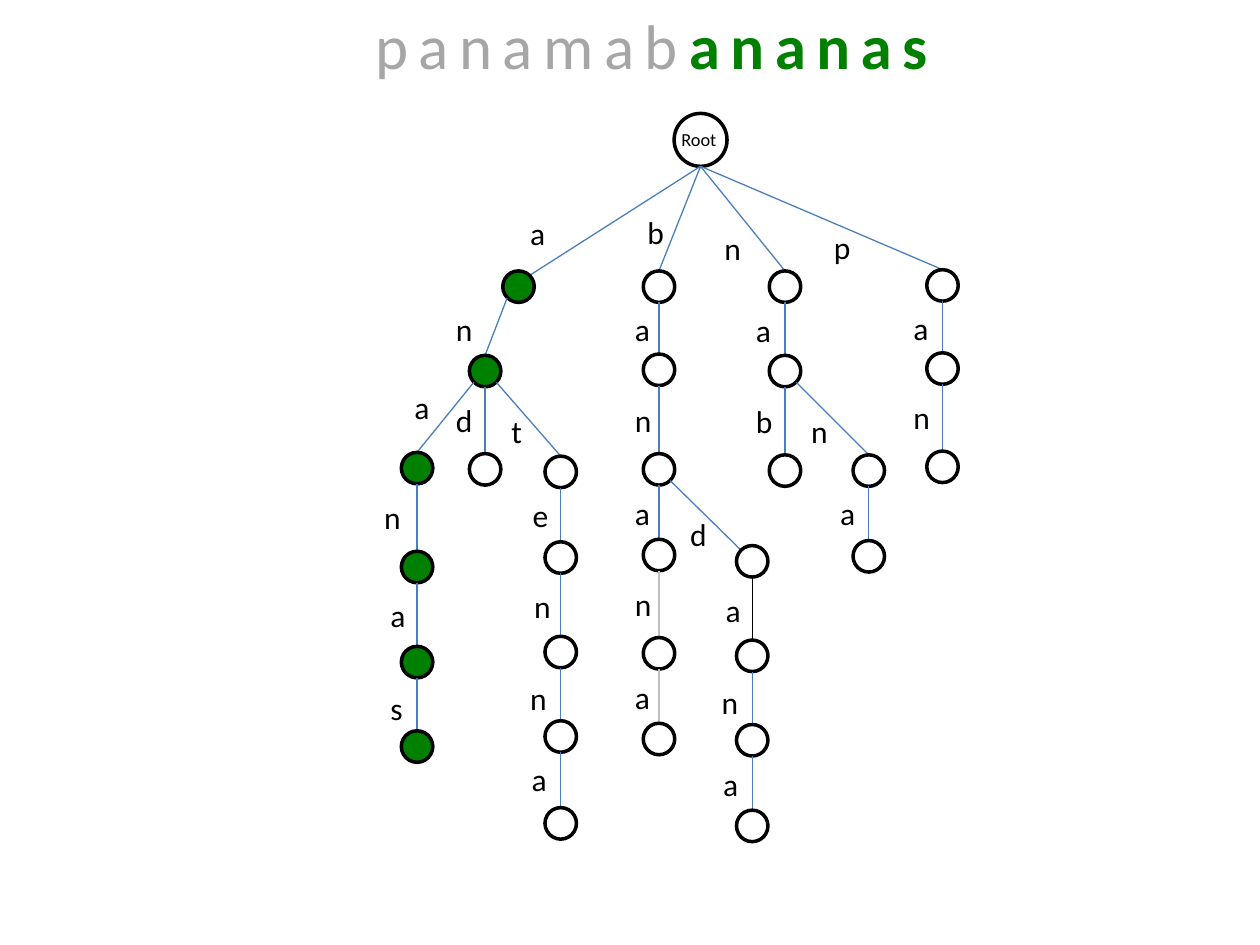
from dataclasses import dataclass

from lxml.etree import SubElement
from pptx import Presentation
from pptx.dml.color import RGBColor
from pptx.enum.shapes import MSO_CONNECTOR, MSO_SHAPE
from pptx.enum.text import MSO_AUTO_SIZE, PP_ALIGN
from pptx.oxml.ns import qn
from pptx.util import Inches, Pt

BLACK = RGBColor(0x00, 0x00, 0x00)
WHITE = RGBColor(0xFF, 0xFF, 0xFF)
GREEN = RGBColor(0x00, 0x80, 0x00)
BLUE = RGBColor(0x4B, 0x7E, 0xBC)
GREY = RGBColor(0xA6, 0xA6, 0xA6)
PALE_GREY = RGBColor(0xBF, 0xBF, 0xBF)

# The grid has 100 columns and 75 rows of square cells
CELL = Inches(0.1)
RADIUS = 1.25
DIAGONAL = 0.9  # reach of a node's corner points along each axis
ROOT_RADIUS = 2.1
ROOT_COL, ROOT_ROW = 55.6, 11.1
SUFFIX = "ananas"
LABEL_WIDTH = {"a": 3.2, "e": 3.3, "s": 3, "t": 2.9}
LABEL_FORMAT = {"name": "Calibri", "size": Pt(18)}


@dataclass
class Node:
    """A trie node: its prefix, its centre, and the corner of its edge label."""
    prefix: str
    col: float
    row: float
    label_col: float
    label_row: float
    edge: RGBColor = BLUE
    side_entry: bool = False  # the edge arrives at a corner point


NODES = [
    # Branch a
    Node("a", 41.15, 22.75, 41.1, 16.5, side_entry=True),
    Node("an", 38.5, 29.45, 35.2, 24.1),
    Node("ana", 33.1, 37.15, 31.9, 30.3),
    Node("anan", 33.1, 45, 29.5, 39),
    Node("anana", 33.1, 52.55, 30, 46.8),
    Node("ananas", 33.1, 59.25, 30, 54.2),
    Node("and", 38.5, 37.25, 35.2, 31.3),
    Node("ant", 44.5, 37.45, 39.6, 32.2),
    Node("ante", 44.5, 44.25, 41.3, 38.9),
    Node("anten", 44.5, 51.75, 41.4, 46.1),
    Node("antenn", 44.5, 58.45, 41.1, 53.4),
    Node("antenna", 44.5, 65.35, 41.2, 59.8),
    # Branch b
    Node("b", 52.3, 22.75, 50.4, 16.4),
    Node("ba", 52.3, 29.35, 49.4, 24.1),
    Node("ban", 52.3, 37.25, 49.4, 31.3),
    Node("bana", 52.3, 44.05, 49.4, 38.7),
    Node("banan", 52.3, 51.85, 49.4, 45.9, PALE_GREY),
    Node("banana", 52.3, 58.65, 49.4, 53.3, PALE_GREY),
    Node("band", 59.7, 44.55, 53.8, 40.4, side_entry=True),
    Node("banda", 59.7, 52.05, 56.6, 46.4, BLACK),
    Node("bandan", 59.7, 58.75, 56.3, 53.7),
    Node("bandana", 59.7, 65.55, 56.4, 60.2),
    # Branch n
    Node("n", 62.3, 22.75, 56.5, 17.7),
    Node("na", 62.3, 29.45, 59, 24.2),
    Node("nab", 62.3, 37.35, 59, 31.4),
    Node("nan", 68.95, 37.35, 63.4, 32.2),
    Node("nana", 68.95, 44.15, 65.7, 38.7),
    # Branch p
    Node("p", 74.8, 22.65, 65.2, 17.6),
    Node("pa", 74.8, 29.25, 71.5, 24),
    Node("pan", 74.8, 37.05, 71.5, 31.1),
]


def cells(*values: float) -> list[int]:
    return [round(v * CELL) for v in values]


def add_run(p, text: str, color: RGBColor, fmt: dict):
    r = p.add_run()
    r.text = text
    for name, value in fmt.items():
        setattr(r.font, name, value)
    r.font.color.rgb = color
    return r


def add_box(s, left: float, top: float, width: float, height: float, wrap: bool):
    tf = s.shapes.add_textbox(*cells(left, top, width, height)).text_frame
    tf.word_wrap = wrap
    tf.auto_size = MSO_AUTO_SIZE.SHAPE_TO_FIT_TEXT
    return tf.paragraphs[0]


def add_circle(s, col: float, row: float, radius: float, fill: RGBColor) -> None:
    box = cells(col - radius, row - radius, 2 * radius, 2 * radius)
    sp = s.shapes.add_shape(MSO_SHAPE.OVAL, *box)
    sp.shadow.inherit = False
    sp.fill.solid()
    sp.fill.fore_color.rgb = fill
    sp.line.color.rgb = BLACK
    sp.line.width = Pt(2)


def add_edge(s, node: Node, parent: Node | None) -> None:
    end = node.col, node.row - RADIUS
    if parent is None:
        start = ROOT_COL, ROOT_ROW + ROOT_RADIUS
    elif parent.col == node.col:
        start = parent.col, parent.row + RADIUS
    else:
        shift = DIAGONAL if node.col > parent.col else -DIAGONAL
        start = parent.col + shift, parent.row + DIAGONAL
    if node.side_entry:
        shift = DIAGONAL if start[0] > node.col else -DIAGONAL
        end = node.col + shift, node.row - DIAGONAL
    line = s.shapes.add_connector(MSO_CONNECTOR.STRAIGHT, *cells(*start, *end))
    line.line.color.rgb = node.edge
    line.line.width = Pt(0.75)
    SubElement(line._element.spPr, qn("a:effectLst"))


def add_node(s, node: Node, parent: Node | None) -> None:
    add_edge(s, node, parent)
    on_path = SUFFIX.startswith(node.prefix)
    add_circle(s, node.col, node.row, RADIUS, GREEN if on_path else WHITE)
    letter = node.prefix[-1]
    width = LABEL_WIDTH.get(letter, 3.4)
    p = add_box(s, node.label_col, node.label_row, width, 4, wrap=False)
    add_run(p, letter, BLACK, LABEL_FORMAT)


def add_title(s) -> None:
    p = add_box(s, 26.7, 0, 50, 7.1, wrap=True)
    p.alignment = PP_ALIGN.CENTER
    for text, color, bold in (("panamab", GREY, False), (SUFFIX, GREEN, True)):
        r = add_run(p, text, color, {"name": "Calibri", "size": Pt(36), "bold": bold})
        r.font._element.set("spc", "600")


def main() -> None:
    prs = Presentation()
    prs.slide_width, prs.slide_height = cells(100, 75)
    s = prs.slides.add_slide(prs.slide_layouts[6])
    add_title(s)

    # Root
    add_circle(s, ROOT_COL, ROOT_ROW, ROOT_RADIUS, WHITE)
    p = add_box(s, 53.1, 9.7, 5.5, 2.8, wrap=True)
    add_run(p, "Root", BLACK, {"name": "Calibri", "size": Pt(10.5)})

    # Trie: each parent is the prefix one letter shorter
    by_prefix = {node.prefix: node for node in NODES}
    for node in NODES:
        add_node(s, node, by_prefix.get(node.prefix[:-1]))

    prs.save("out.pptx")


if __name__ == "__main__":
    main()
